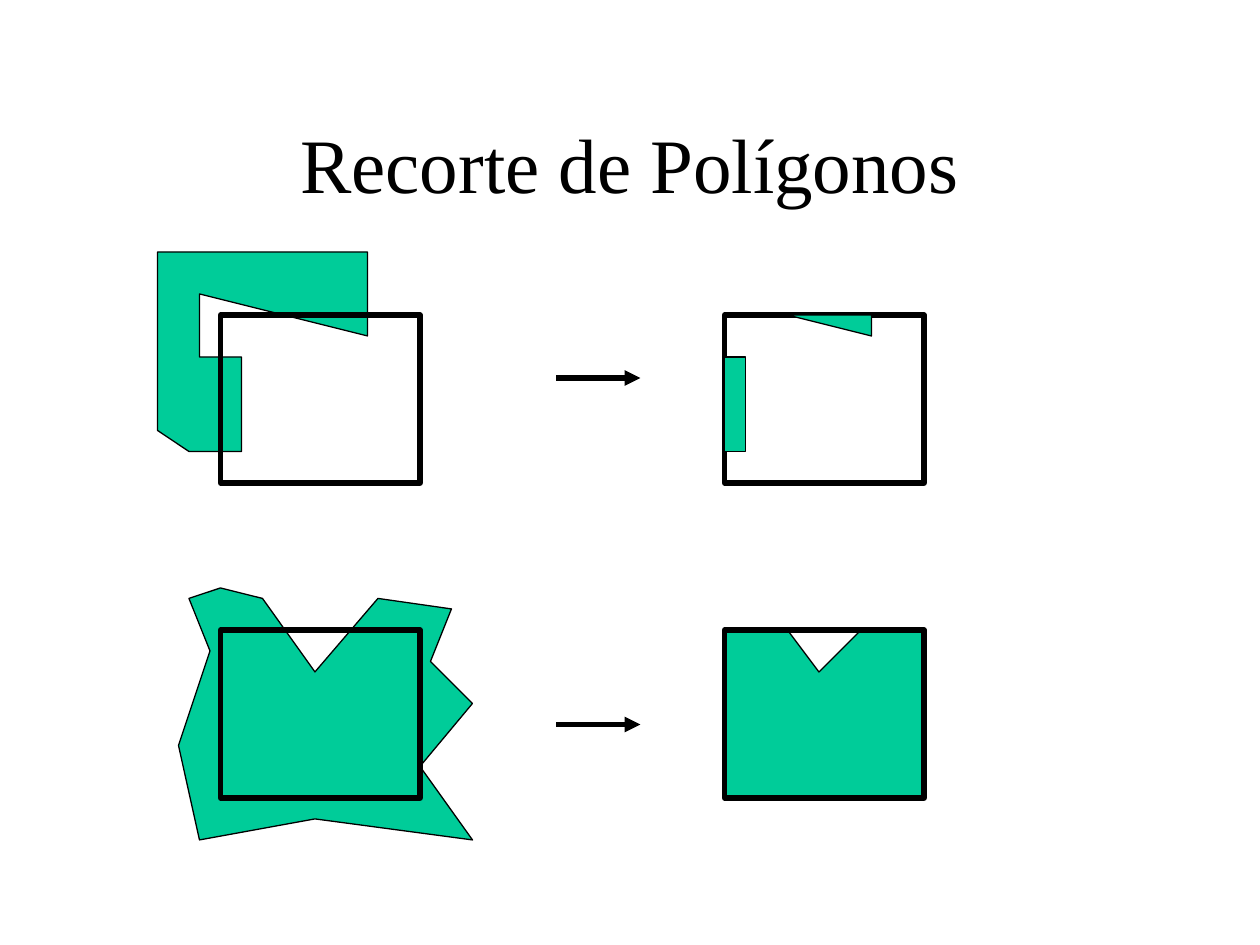
from lxml import etree
from pptx import Presentation
from pptx.dml.color import RGBColor
from pptx.enum import shapes, text
from pptx.oxml import ns
from pptx.util import Cm, Pt

COLORS = {"polygon": "00CC99", "ink": "000000"}
FONT = "Times New Roman"
GRID = Cm(2.54 / 12)
WINDOW_WIDTH, WINDOW_HEIGHT = 19, 16
RESULT_OFFSET = 48
ARROW_START, ARROW_END = 32, 40

HOOK = [(-6, 11), (-6, -6), (14, -6), (14, 2), (-2, -2), (-2, 4), (2, 4), (2, 13), (-3, 13)]
HOOK_PIECES = [
    [(14, 2), (14, 0), (6, 0)],
    [(0, 4), (2, 4), (2, 13), (0, 13)],
]
STAR = [(0, -4), (4, -3), (9, 4), (15, -3), (22, -2), (20, 3), (24, 7),
        (19, 13), (24, 20), (9, 18), (-2, 20), (-4, 11), (-1, 2), (-3, -3)]
STAR_PIECES = [[(6, 0), (9, 4), (13, 0), (19, 0), (19, 16), (0, 16), (0, 0)]]


def color(name):
    return RGBColor.from_string(COLORS[name])


def set_line(shape, width):
    shape.line.color.rgb = color("ink")
    shape.line.width = Pt(width)


def add_polygon(slide, left, top, points):
    builder = slide.shapes.build_freeform(*points[0], scale=GRID)
    builder.add_line_segments(points[1:], close=True)
    shape = builder.convert_to_shape(left, top)
    shape.shadow.inherit = False
    shape.fill.solid()
    shape.fill.fore_color.rgb = color("polygon")
    set_line(shape, 0.75)


def add_window(slide, left, top):
    shape = slide.shapes.add_shape(shapes.MSO_SHAPE.RECTANGLE, left, top,
                                   WINDOW_WIDTH * GRID, WINDOW_HEIGHT * GRID)
    shape.shadow.inherit = False
    shape.fill.background()
    set_line(shape, 3)


def add_arrow(slide, left, right, y):
    arrow = slide.shapes.add_connector(shapes.MSO_CONNECTOR.STRAIGHT, left, y, right, y)
    set_line(arrow, 3)
    etree.SubElement(arrow.line._get_or_add_ln(), ns.qn("a:tailEnd"), type="triangle")
    etree.SubElement(arrow._element.spPr, ns.qn("a:effectLst"))


def add_clipping(slide, left, top, polygon, pieces, arrow_drop, window_in_front):
    result_left = left + RESULT_OFFSET * GRID
    add_polygon(slide, left, top, polygon)
    add_window(slide, left, top)
    if not window_in_front:
        add_window(slide, result_left, top)
    for piece in pieces:
        add_polygon(slide, result_left, top, piece)
    if window_in_front:
        add_window(slide, result_left, top)
    add_arrow(slide, left + ARROW_START * GRID, left + ARROW_END * GRID,
              top + arrow_drop * GRID)


def add_title(slide, left, top, width, height, title):
    frame = slide.shapes.add_textbox(left, top, width, height).text_frame
    frame.word_wrap = True
    frame.vertical_anchor = text.MSO_ANCHOR.MIDDLE
    paragraph = frame.paragraphs[0]
    paragraph.text = title
    paragraph.alignment = text.PP_ALIGN.CENTER
    paragraph.font.name = FONT
    paragraph.font.size = Pt(44)
    paragraph.font.color.rgb = color("ink")


def main():
    presentation = Presentation()
    presentation.slide_width = Cm(25.4)
    presentation.slide_height = Cm(19.05)
    slide = presentation.slides.add_slide(presentation.slide_layouts[6])
    add_clipping(slide, 21 * GRID, 30 * GRID, HOOK, HOOK_PIECES, 6, False)
    add_clipping(slide, 21 * GRID, 60 * GRID, STAR, STAR_PIECES, 9, True)
    add_title(slide, 9 * GRID, 8 * GRID, 102 * GRID, 15 * GRID, "Recorte de Polígonos")
    presentation.save("out.pptx")


if __name__ == "__main__":
    main()
